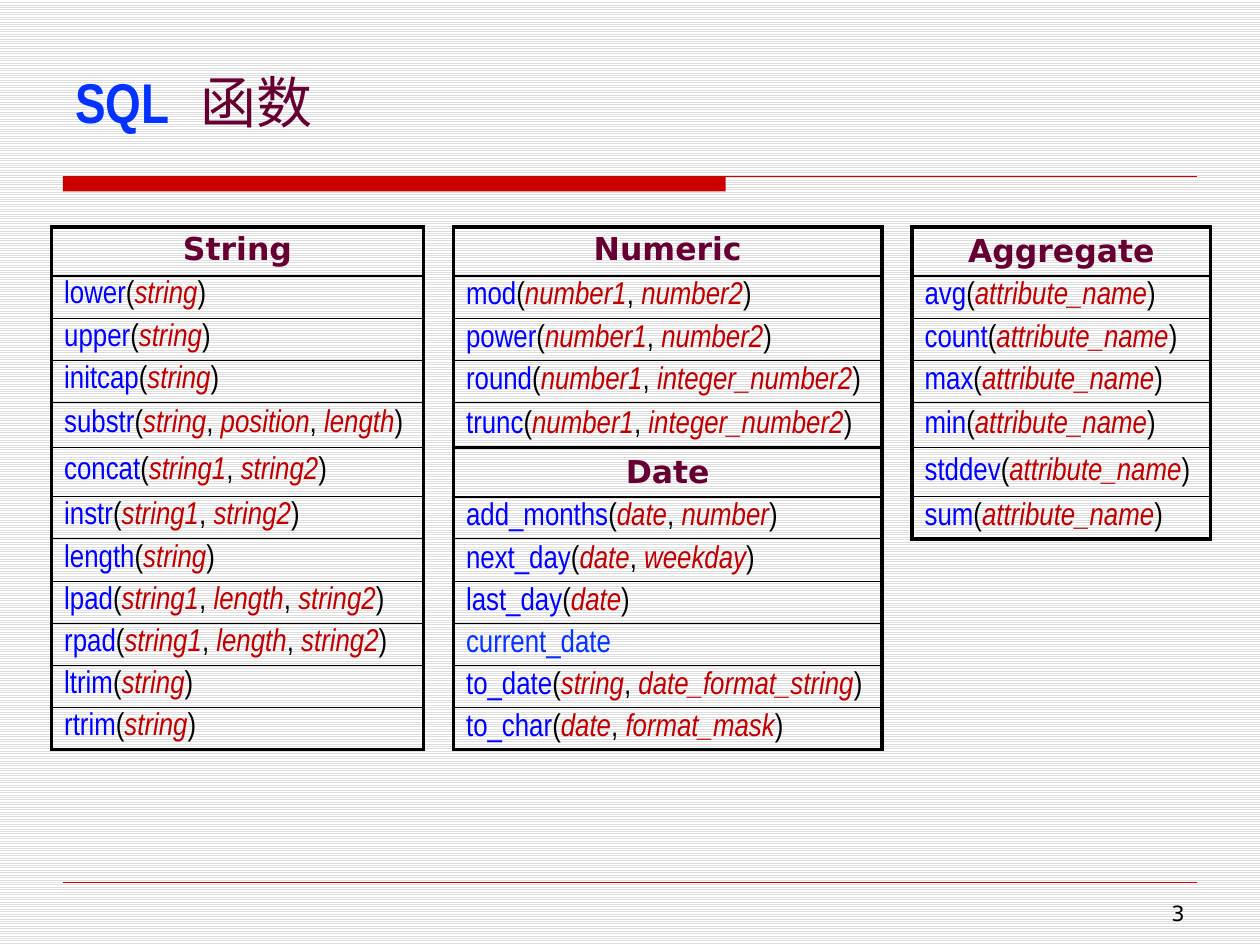
from lxml import etree
from pptx import Presentation
from pptx.dml.color import RGBColor
from pptx.enum.dml import MSO_PATTERN
from pptx.enum.shapes import MSO_CONNECTOR, MSO_SHAPE
from pptx.enum.text import MSO_ANCHOR, PP_ALIGN
from pptx.oxml.ns import qn
from pptx.util import Pt

STRAIGHT = MSO_CONNECTOR.STRAIGHT
RECTANGLE = MSO_SHAPE.RECTANGLE
MIDDLE = MSO_ANCHOR.MIDDLE
CENTER, RIGHT = PP_ALIGN.CENTER, PP_ALIGN.RIGHT

BLACK = RGBColor(0x00, 0x00, 0x00)
WHITE = RGBColor(0xFF, 0xFF, 0xFF)
STRIPE = RGBColor(0xDD, 0xDD, 0xDD)
RULE_RED = RGBColor(0xCC, 0x00, 0x00)
ARGUMENT_RED = RGBColor(0xC0, 0x00, 0x00)
FUNCTION_BLUE = RGBColor(0x00, 0x00, 0xFF)
BRIGHT_BLUE = RGBColor(0x04, 0x32, 0xFF)
PLUM = RGBColor(0x66, 0x00, 0x33)

NARROW, SANS = "Arial Narrow", "DejaVu Sans"
HEADINGS = {"String", "Numeric", "Date", "Aggregate"}
THICK, MEDIUM, THIN = 2.25, 1.5, 0.5

STRING = ["String", "lower(string)", "upper(string)", "initcap(string)",
          "substr(string, position, length)", "concat(string1, string2)",
          "instr(string1, string2)", "length(string)",
          "lpad(string1, length, string2)", "rpad(string1, length, string2)",
          "ltrim(string)", "rtrim(string)"]
NUMERIC_AND_DATE = ["Numeric", "mod(number1, number2)", "power(number1, number2)",
                    "round(number1, integer_number2)",
                    "trunc(number1, integer_number2)",
                    "Date", "add_months(date, number)", "next_day(date, weekday)",
                    "last_day(date)", "current_date",
                    "to_date(string, date_format_string)",
                    "to_char(date, format_mask)"]
AGGREGATE = ["Aggregate"] + [f"{name}(attribute_name)" for name in
                             ("avg", "count", "max", "min", "stddev", "sum")]
COLUMNS = [STRING, [], NUMERIC_AND_DATE, [], AGGREGATE]
COLUMN_WIDTHS = [212.4, 16.6, 244.8, 16.6, 170.6]
ROW_HEIGHTS = [28] + [24.1] * 3 + [26, 28] + [24.1] * 6


def add_run(paragraph, text, color, font=None, italic=None, bold=None):
    run = paragraph.add_run()
    run.text = text
    run.font.color.rgb = color
    run.font.italic = italic
    run.font.bold = bold
    if font:
        run.font.name = font
    return run


def add_rule(slide, left, top, width, weight):
    rule = slide.shapes.add_connector(STRAIGHT, Pt(left), Pt(top),
                                      Pt(left + width), Pt(top))
    rule.line.color.rgb = RULE_RED
    rule.line.width = Pt(weight)
    etree.SubElement(rule._element.spPr, qn("a:effectLst"))


def add_title_rule(slide, left, top, width):
    bar = slide.shapes.add_shape(RECTANGLE, Pt(left), Pt(top), Pt(378.7), Pt(8.6))
    bar.shadow.inherit = False
    bar.fill.solid()
    bar.fill.fore_color.rgb = RULE_RED
    bar.line.fill.background()
    add_rule(slide, left, top, width, 0.75)


def add_title(slide, left, top, width, height):
    frame = slide.shapes.add_textbox(Pt(left), Pt(top), Pt(width), Pt(height)).text_frame
    frame.word_wrap = True
    frame.vertical_anchor = MIDDLE
    title = frame.paragraphs[0]
    title.font.size = Pt(32)
    add_run(title, "SQL", BRIGHT_BLUE, NARROW, bold=True)
    gap = add_run(title, " ", BRIGHT_BLUE, NARROW)
    gap._r.get_or_add_rPr().set("spc", "1000")
    add_run(title, "函数", PLUM, SANS)


def add_page_number(slide, left, top, width, height):
    frame = slide.shapes.add_textbox(Pt(left), Pt(top), Pt(width), Pt(height)).text_frame
    frame.word_wrap = True
    number = frame.paragraphs[0]
    number.text = "3"
    number.alignment = RIGHT
    number.font.size = Pt(12)
    number.font.name = SANS
    number.font.color.rgb = BLACK


def entry_at(row, column):
    """Return the entry at a grid position, or an empty string outside the lists."""
    if 0 <= column < len(COLUMNS) and 0 <= row < len(COLUMNS[column]):
        return COLUMNS[column][row]
    return ""


def side_weight(left_entry, right_entry):
    return THICK if left_entry or right_entry else 0


def level_weight(upper, lower):
    """Return the weight of the border between two stacked entries."""
    if not (upper or lower):
        return 0
    if not (upper and lower) or lower in HEADINGS:
        return THICK
    return MEDIUM if upper in HEADINGS else THIN


def set_borders(cell, weights):
    """Set left, right, top and bottom borders; a weight of 0 hides one."""
    properties = cell._tc.get_or_add_tcPr()
    for index, (side, weight) in enumerate(zip("LRTB", weights)):
        border = etree.Element(qn(f"a:ln{side}"), w=str(int(Pt(weight))))
        if weight:
            fill = etree.SubElement(border, qn("a:solidFill"))
            etree.SubElement(fill, qn("a:srgbClr"), val=str(BLACK))
        else:
            etree.SubElement(border, qn("a:noFill"))
        properties.insert(index, border)


def write_entry(paragraph, entry):
    paragraph.font.size = Pt(18)
    if entry in HEADINGS:
        paragraph.alignment = CENTER
        paragraph.font.name = SANS
        add_run(paragraph, entry, PLUM, bold=True)
        return
    paragraph.font.name = NARROW
    function, bracket, arguments = entry.partition("(")
    add_run(paragraph, function, FUNCTION_BLUE if bracket else BRIGHT_BLUE)
    if bracket:
        separator = "("
        for argument in arguments.rstrip(")").split(", "):
            add_run(paragraph, separator, BLACK)
            add_run(paragraph, argument, ARGUMENT_RED, italic=True)
            separator = ", "
        add_run(paragraph, ")", BLACK)


def add_function_table(slide, left, top):
    table = slide.shapes.add_table(
        len(ROW_HEIGHTS), len(COLUMNS), Pt(left), Pt(top),
        Pt(sum(COLUMN_WIDTHS)), Pt(sum(ROW_HEIGHTS))).table
    table.first_row = table.horz_banding = False
    for column, width in zip(table.columns, COLUMN_WIDTHS):
        column.width = Pt(width)
    for r, height in enumerate(ROW_HEIGHTS):
        table.rows[r].height = Pt(height)
        for c in range(len(COLUMNS)):
            cell, entry = table.cell(r, c), entry_at(r, c)
            cell.margin_top = cell.margin_bottom = 0
            cell.vertical_anchor = MIDDLE
            set_borders(cell, [side_weight(entry_at(r, c - 1), entry),
                               side_weight(entry, entry_at(r, c + 1)),
                               level_weight(entry_at(r - 1, c), entry),
                               level_weight(entry, entry_at(r + 1, c))])
            cell.fill.background()
            paragraph = cell.text_frame.paragraphs[0]
            if entry:
                write_entry(paragraph, entry)
            if c == 0 or entry == "Numeric":
                paragraph.line_spacing = 0.8


def main():
    presentation = Presentation()
    presentation.slide_width, presentation.slide_height = Pt(720), Pt(540)
    slide = presentation.slides.add_slide(presentation.slide_layouts[6])
    background = slide.background.fill
    background.patterned()
    background.pattern = MSO_PATTERN.LIGHT_HORIZONTAL
    background.fore_color.rgb = STRIPE
    background.back_color.rgb = WHITE

    add_title_rule(slide, 36, 100.8, 648)
    add_rule(slide, 36, 504, 648, 0.25)
    add_title(slide, 36, 21.6, 648, 72)
    add_page_number(slide, 527.8, 511.2, 156.2, 18)
    add_function_table(slide, 29.5, 129.6)
    presentation.save("out.pptx")


if __name__ == "__main__":
    main()
